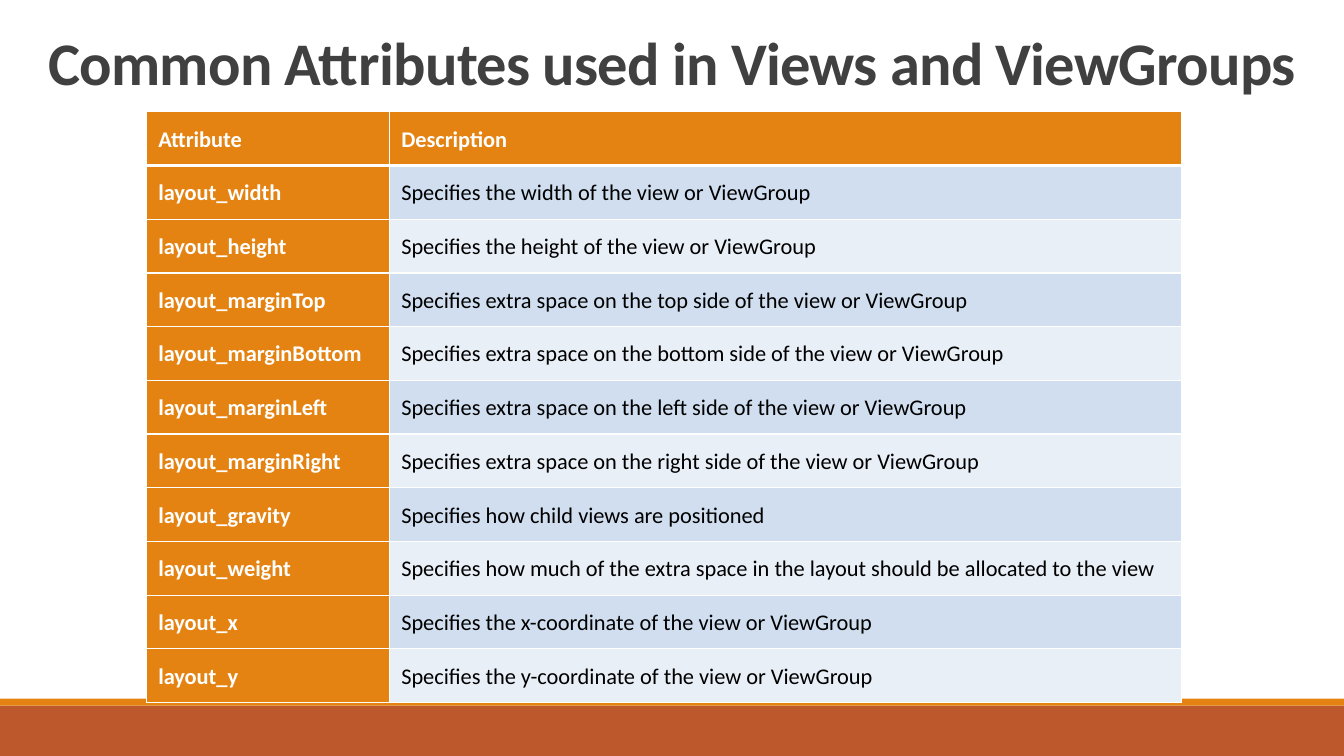
from dataclasses import dataclass

from lxml import etree
from pptx import Presentation, util as u
from pptx.dml.color import RGBColor
from pptx.enum import shapes, text
from pptx.oxml import ns


@dataclass(frozen=True)
class Theme:
    font: str = "Calibri"
    title_size: float = 43.2
    table_size: float = 16
    title: str = "404040"
    body: str = "000000"
    white: str = "FFFFFF"
    accent: str = "E48312"
    footer: str = "BD582C"
    bands: tuple[str, str] = ("D0DEEF", "E9EFF7")


@dataclass(frozen=True)
class Frame:
    """Left, top, width and height in percent of the slide."""
    left: float
    top: float
    width: float
    height: float

    def lengths(self) -> tuple[int, int, int, int]:
        return (across(self.left), down(self.top),
                across(self.width), down(self.height))


@dataclass(frozen=True)
class Bar:
    frame: Frame
    color: str


@dataclass(frozen=True)
class Attribute:
    name: str
    description: str


THEME = Theme()
SLIDE_WIDTH = u.Inches(13.33)
SLIDE_HEIGHT = u.Inches(7.5)
TITLE_FRAME = Frame(0, 5.2, 100, 7.33)
TABLE_FRAME = Frame(10.88, 14.8, 77.04, 78.13)
NAME_SHARE = 18.08
CELL_MARGIN = u.Inches(0.12)
THIN, THICK = 1, 3

BARS = [
    Bar(Frame(0, 93.33, 100, 6.67), THEME.footer),
    Bar(Frame(0, 92.4, 100, 0.93), THEME.accent),
]

ATTRIBUTES = [
    Attribute("Attribute", "Description"),
    Attribute("layout_width", "Specifies the width of the view or ViewGroup"),
    Attribute("layout_height", "Specifies the height of the view or ViewGroup"),
    Attribute("layout_marginTop",
              "Specifies extra space on the top side of the view or ViewGroup"),
    Attribute("layout_marginBottom",
              "Specifies extra space on the bottom side of the view or ViewGroup"),
    Attribute("layout_marginLeft",
              "Specifies extra space on the left side of the view or ViewGroup"),
    Attribute("layout_marginRight",
              "Specifies extra space on the right side of the view or ViewGroup"),
    Attribute("layout_gravity", "Specifies how child views are positioned"),
    Attribute("layout_weight",
              "Specifies how much of the extra space in the layout "
              "should be allocated to the view"),
    Attribute("layout_x", "Specifies the x-coordinate of the view or ViewGroup"),
    Attribute("layout_y", "Specifies the y-coordinate of the view or ViewGroup"),
]


def across(percent: float) -> int:
    return round(SLIDE_WIDTH * percent / 100)


def down(percent: float) -> int:
    return round(SLIDE_HEIGHT * percent / 100)


def rgb(color: str) -> RGBColor:
    return RGBColor.from_string(color)


def style(para, size: float, color: str, bold: bool, spacing: float) -> None:
    para.line_spacing = spacing
    para.font.name = THEME.font
    para.font.size = u.Pt(size)
    para.font.bold = bold
    para.font.color.rgb = rgb(color)


def draw_bar(page, bar: Bar) -> None:
    box = page.shapes.add_shape(shapes.MSO_SHAPE.RECTANGLE, *bar.frame.lengths())
    box.shadow.inherit = False
    box.fill.solid()
    box.fill.fore_color.rgb = rgb(bar.color)
    box.line.fill.background()


def draw_title(page, words: str) -> None:
    box = page.shapes.add_textbox(*TITLE_FRAME.lengths())
    box.text_frame.word_wrap = True
    box.text_frame.vertical_anchor = text.MSO_ANCHOR.MIDDLE
    para = box.text_frame.paragraphs[0]
    para.alignment = text.PP_ALIGN.CENTER
    span = para.add_run()
    span.text = words
    style(para, THEME.title_size, THEME.title, True, 0.85)
    span._r.get_or_add_rPr().set("spc", "-50")


def add_border(cell, side: str, points: float) -> None:
    line = etree.SubElement(cell._tc.get_or_add_tcPr(), ns.qn(f"a:ln{side}"),
                            w=str(u.Pt(points)))
    fill = etree.SubElement(line, ns.qn("a:solidFill"))
    etree.SubElement(fill, ns.qn("a:srgbClr"), val=THEME.white)


def draw_cell(cell, words: str, row: int, column: int) -> None:
    is_heading = row == 0 or column == 0
    top = THICK if row == 1 else THIN
    bottom = THICK if row == 0 else THIN
    for side, points in zip("LRTB", (THIN, THIN, top, bottom)):
        add_border(cell, side, points)
    cell.fill.solid()
    cell.fill.fore_color.rgb = rgb(
        THEME.accent if is_heading else THEME.bands[(row - 1) % 2])
    cell.margin_left = cell.margin_right = CELL_MARGIN
    cell.margin_top = cell.margin_bottom = CELL_MARGIN
    cell.text = words
    style(cell.text_frame.paragraphs[0], THEME.table_size,
          THEME.white if is_heading else THEME.body, is_heading, 1.07)


def draw_table(page, attributes: list[Attribute]) -> None:
    table = page.shapes.add_table(
        len(attributes), 2, *TABLE_FRAME.lengths()).table
    table.columns[0].width = across(NAME_SHARE)
    table.columns[1].width = across(TABLE_FRAME.width - NAME_SHARE)
    for row, attribute in enumerate(attributes):
        for column, words in enumerate((attribute.name, attribute.description)):
            draw_cell(table.cell(row, column), words, row, column)


def main() -> None:
    deck = Presentation()
    deck.slide_width, deck.slide_height = SLIDE_WIDTH, SLIDE_HEIGHT
    page = deck.slides.add_slide(deck.slide_layouts[6])
    for bar in BARS:
        draw_bar(page, bar)
    draw_title(page, "Common Attributes used in Views and ViewGroups")
    draw_table(page, ATTRIBUTES)
    deck.save("out.pptx")


if __name__ == "__main__":
    main()
